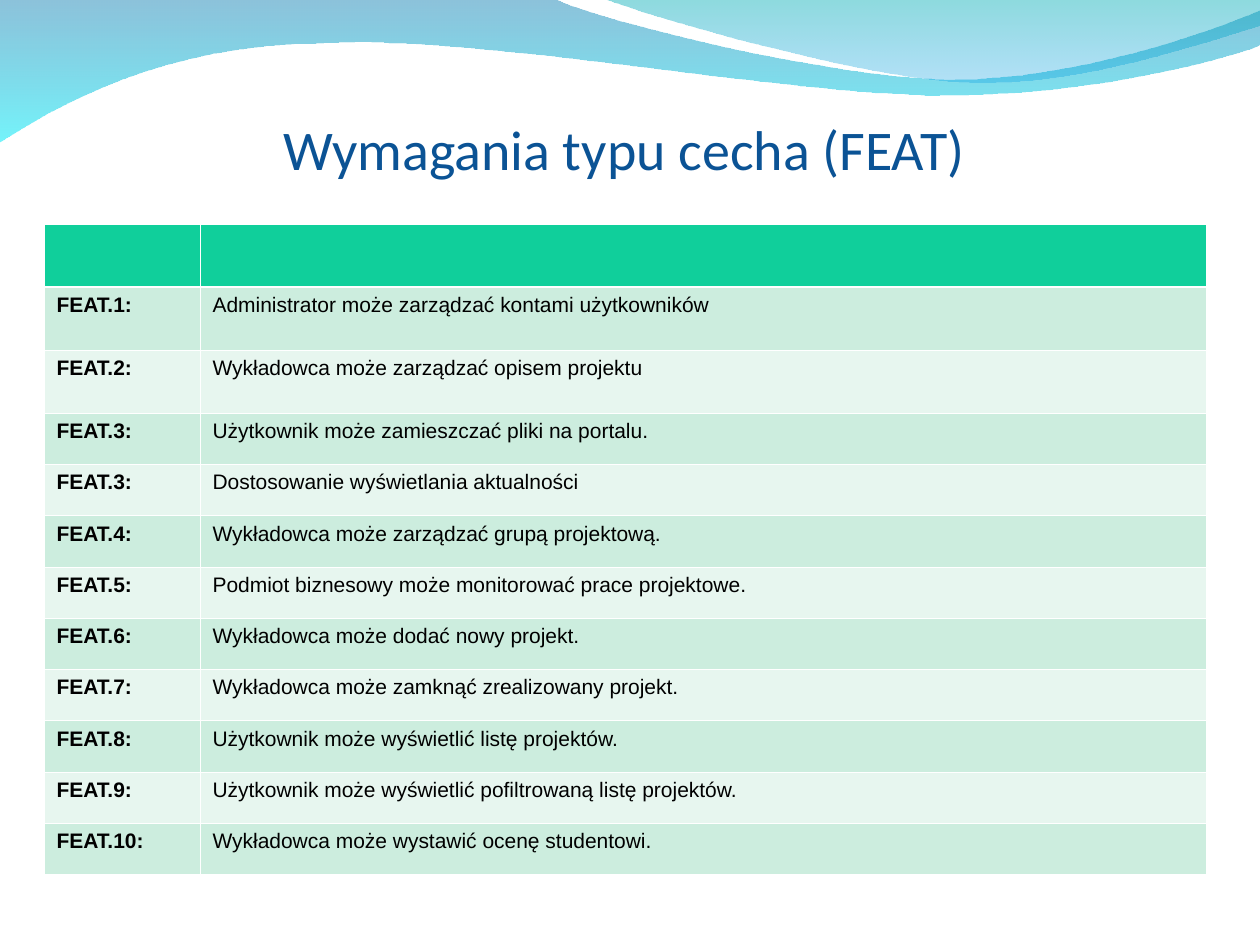
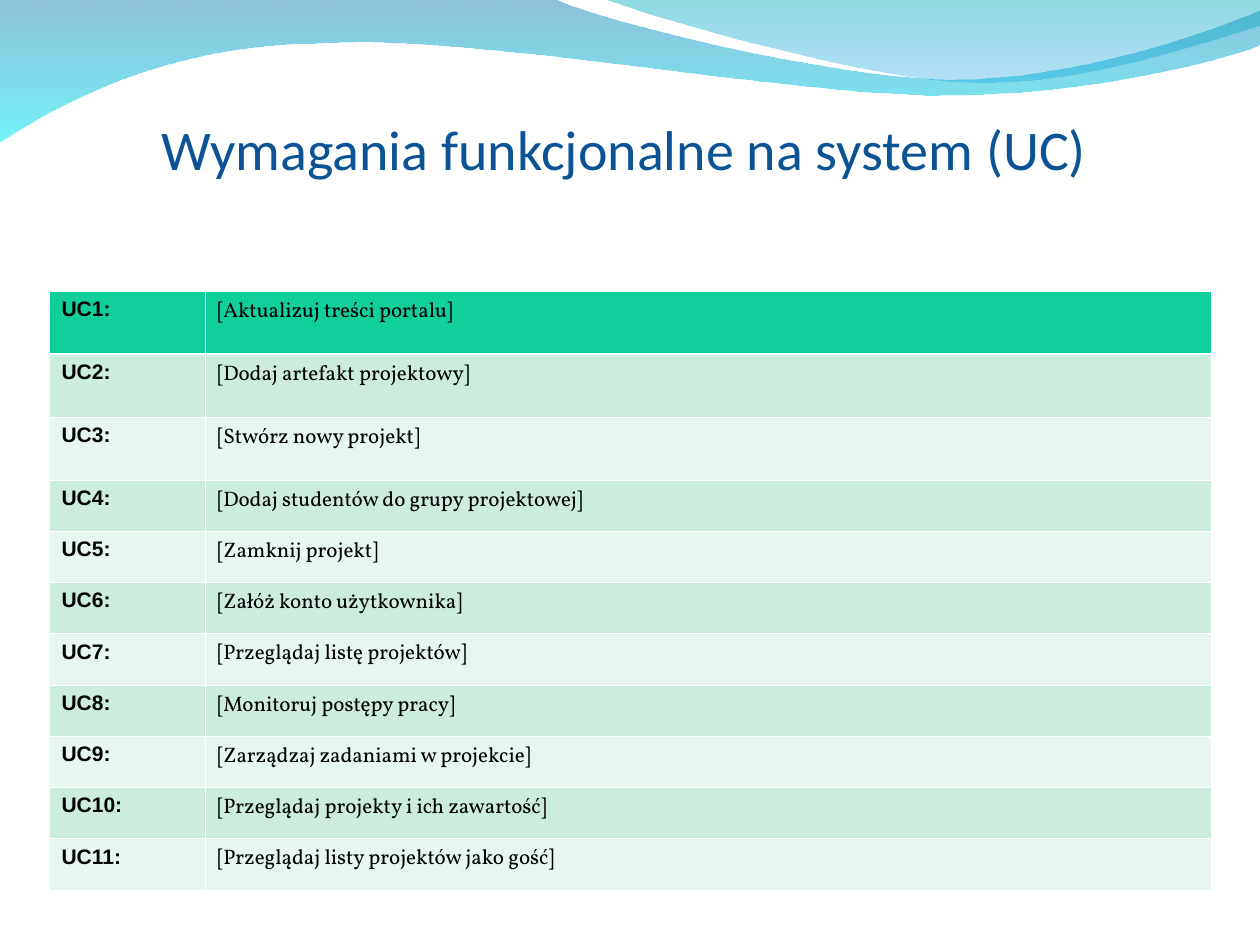
import dataclasses

import lxml.etree
import pptx
import pptx.dml.color
import pptx.enum.text
import pptx.oxml.ns
import pptx.util

EMU_PER_PX = 914400 / 126
TITLE_ONLY_LAYOUT = 5


@dataclasses.dataclass(frozen=True)
class Theme:
    title_font: str = "Calibri"
    label_font: str = "Arial"
    use_case_font: str = "Vollkorn"
    title_size: int = 32
    table_size: int = 12
    title_color: str = "0B5395"
    text_color: str = "000000"
    header_fill: str = "10CF9B"
    band_fills: tuple = ("CCEDDE", "E7F6EF")
    border_color: str = "FFFFFF"
    border_width: float = 0.45
    header_border_width: float = 1.47
    long_wave: tuple = (("0079AF", 45), ("00EBF8", 55))
    short_wave: tuple = (("00ADB6", 45), ("009BE5", 30))


LONG_WAVE_OUTLINE = [
    [(0, -1)],
    [(554, -1)],
    [(600, 21), (837, 79), (955, 79)],
    [(1075, 79), (1207, 33), (1260, 11)],
    [(1261, 45)],
    [(1239, 55), (1096, 96), (940, 95)],
    [(784, 95), (481, 35), (324, 43)],
    [(163, 44), (58, 105), (-1, 142)],
    [(0, -1)],
]
SHORT_WAVE_OUTLINE = [
    [(604, -1)],
    [(641, 14), (859, 78), (969, 82)],
    [(1079, 87), (1211, 40), (1260, 26)],
    [(1260, 0)],
    [(604, -1)],
]

FEATURES = [
    ("", ""),
    ("FEAT.1:", "Administrator może zarządzać kontami użytkowników"),
    ("FEAT.2:", "Wykładowca może zarządzać opisem projektu"),
    ("FEAT.3:", "Użytkownik może zamieszczać pliki na portalu."),
    ("FEAT.3:", "Dostosowanie wyświetlania aktualności"),
    ("FEAT.4:", "Wykładowca może zarządzać grupą projektową."),
    ("FEAT.5:", "Podmiot biznesowy może monitorować prace projektowe."),
    ("FEAT.6:", "Wykładowca może dodać nowy projekt."),
    ("FEAT.7:", "Wykładowca może zamknąć zrealizowany projekt."),
    ("FEAT.8:", "Użytkownik może wyświetlić listę projektów."),
    ("FEAT.9:", "Użytkownik może wyświetlić pofiltrowaną listę projektów."),
    ("FEAT.10:", "Wykładowca może wystawić ocenę studentowi."),
]
USE_CASES = [
    "Aktualizuj treści portalu",
    "Dodaj artefakt projektowy",
    "Stwórz nowy projekt",
    "Dodaj studentów do grupy projektowej",
    "Zamknij projekt",
    "Załóż konto użytkownika",
    "Przeglądaj listę projektów",
    "Monitoruj postępy pracy",
    "Zarządzaj zadaniami w projekcie",
    "Przeglądaj projekty i ich zawartość",
    "Przeglądaj listy projektów jako gość",
]


def emu(px):
    return pptx.util.Emu(round(px * EMU_PER_PX))


def rgb(color):
    return pptx.dml.color.RGBColor.from_string(color)


def add_element(parent, tag, **attributes):
    return lxml.etree.SubElement(parent, pptx.oxml.ns.qn(tag), **attributes)


def bend_segments(shape, segments):
    lines = iter(list(shape.element.spPr.iter(pptx.oxml.ns.qn("a:lnTo"))))
    for segment in segments:
        segment_lines = [next(lines) for _ in segment]
        if len(segment) == 3:
            parent = segment_lines[0].getparent()
            curve = parent.makeelement(pptx.oxml.ns.qn("a:cubicBezTo"))
            parent.replace(segment_lines[0], curve)
            for line in segment_lines:
                curve.append(line[0])
            for line in segment_lines[1:]:
                parent.remove(line)


class Deck:
    """Holds the theme and the current slide, and draws each kind of element."""

    def __init__(self, theme):
        self.theme = theme
        self.presentation = pptx.Presentation()
        self.presentation.slide_width = emu(1260)
        self.presentation.slide_height = emu(945)
        self.slide = None

    def add_slide(self, title):
        layout = self.presentation.slide_layouts[TITLE_ONLY_LAYOUT]
        self.slide = self.presentation.slides.add_slide(layout)
        self.add_wave(LONG_WAVE_OUTLINE, self.theme.long_wave)
        self.add_wave(SHORT_WAVE_OUTLINE, self.theme.short_wave)
        self.set_title(title)

    def add_wave(self, outline, stops):
        (start,), *segments = outline
        builder = self.slide.shapes.build_freeform(*map(emu, start))
        builder.add_line_segments(
            [(emu(x), emu(y)) for segment in segments for x, y in segment], close=True)
        shape = builder.convert_to_shape()
        bend_segments(shape, segments)
        shape.shadow.inherit = False
        shape.line.fill.background()
        shape.fill.gradient()
        shape.fill.gradient_angle = 270
        for stop, (color, _) in zip(shape.fill.gradient_stops, stops):
            stop.color.rgb = rgb(color)
        color_tag = pptx.oxml.ns.qn("a:srgbClr")
        for element, (_, opacity) in zip(shape.element.spPr.iter(color_tag), stops):
            add_element(element, "a:alpha", val=str(opacity * 1000))

    def set_title(self, text):
        title = self.slide.shapes.title
        title.element.getparent().append(title.element)
        title.left, title.top, title.width, title.height = map(emu, (89, 89, 1071, 118))
        frame = title.text_frame
        frame.text = text
        frame.word_wrap = True
        frame.auto_size = pptx.enum.text.MSO_AUTO_SIZE.NONE
        frame.vertical_anchor = pptx.enum.text.MSO_ANCHOR.MIDDLE
        paragraph = frame.paragraphs[0]
        paragraph.alignment = pptx.enum.text.PP_ALIGN.CENTER
        self.format_font(paragraph.runs[0].font, self.theme.title_font,
                         self.theme.title_size, self.theme.title_color)

    def format_font(self, font, name, size, color, bold=False):
        font.name = name
        font.size = pptx.util.Pt(size)
        font.color.rgb = rgb(color)
        font.bold = bold

    def add_requirements(self, rows, left, top, height, value_font):
        column_widths = (156, 1006)
        tall_rows, tall_height = 3, 63
        short_height = (height - tall_rows * tall_height) / (len(rows) - tall_rows)
        frame = self.slide.shapes.add_table(
            len(rows), len(column_widths), emu(left), emu(top),
            emu(sum(column_widths)), emu(height))
        table = frame.table
        table.first_row = table.horz_banding = False
        for column, width in zip(table.columns, column_widths):
            column.width = emu(width)
        fonts = (self.theme.label_font, value_font)
        for row_index, texts in enumerate(rows):
            is_tall = row_index < tall_rows
            table.rows[row_index].height = emu(tall_height if is_tall else short_height)
            for column_index, text in enumerate(texts):
                cell = table.cell(row_index, column_index)
                self.format_cell(cell, row_index)
                if text:
                    cell.text_frame.text = text
                    self.format_font(cell.text_frame.paragraphs[0].runs[0].font,
                                     fonts[column_index], self.theme.table_size,
                                     self.theme.text_color, bold=column_index == 0)

    def format_cell(self, cell, row_index):
        theme = self.theme
        thick_side = {0: "B", 1: "T"}.get(row_index)
        properties = cell._tc.get_or_add_tcPr()
        for side in "LRTB":
            width = theme.header_border_width if side == thick_side else theme.border_width
            line = add_element(properties, f"a:ln{side}", w=str(pptx.util.Pt(width)))
            fill = add_element(line, "a:solidFill")
            add_element(fill, "a:srgbClr", val=theme.border_color)
        cell.fill.solid()
        color = theme.band_fills[(row_index - 1) % 2] if row_index else theme.header_fill
        cell.fill.fore_color.rgb = rgb(color)


def main():
    theme = Theme()
    deck = Deck(theme)
    deck.add_slide("Wymagania typu cecha (FEAT)")
    deck.add_requirements(FEATURES, 44, 224, 651, theme.label_font)
    deck.add_slide("Wymagania funkcjonalne na system (UC)")
    use_case_rows = [(f"UC{number}:", f"[{name}]")
                     for number, name in enumerate(USE_CASES, 1)]
    deck.add_requirements(use_case_rows, 49, 291, 599, theme.use_case_font)
    deck.presentation.save("out.pptx")


if __name__ == "__main__":
    main()
